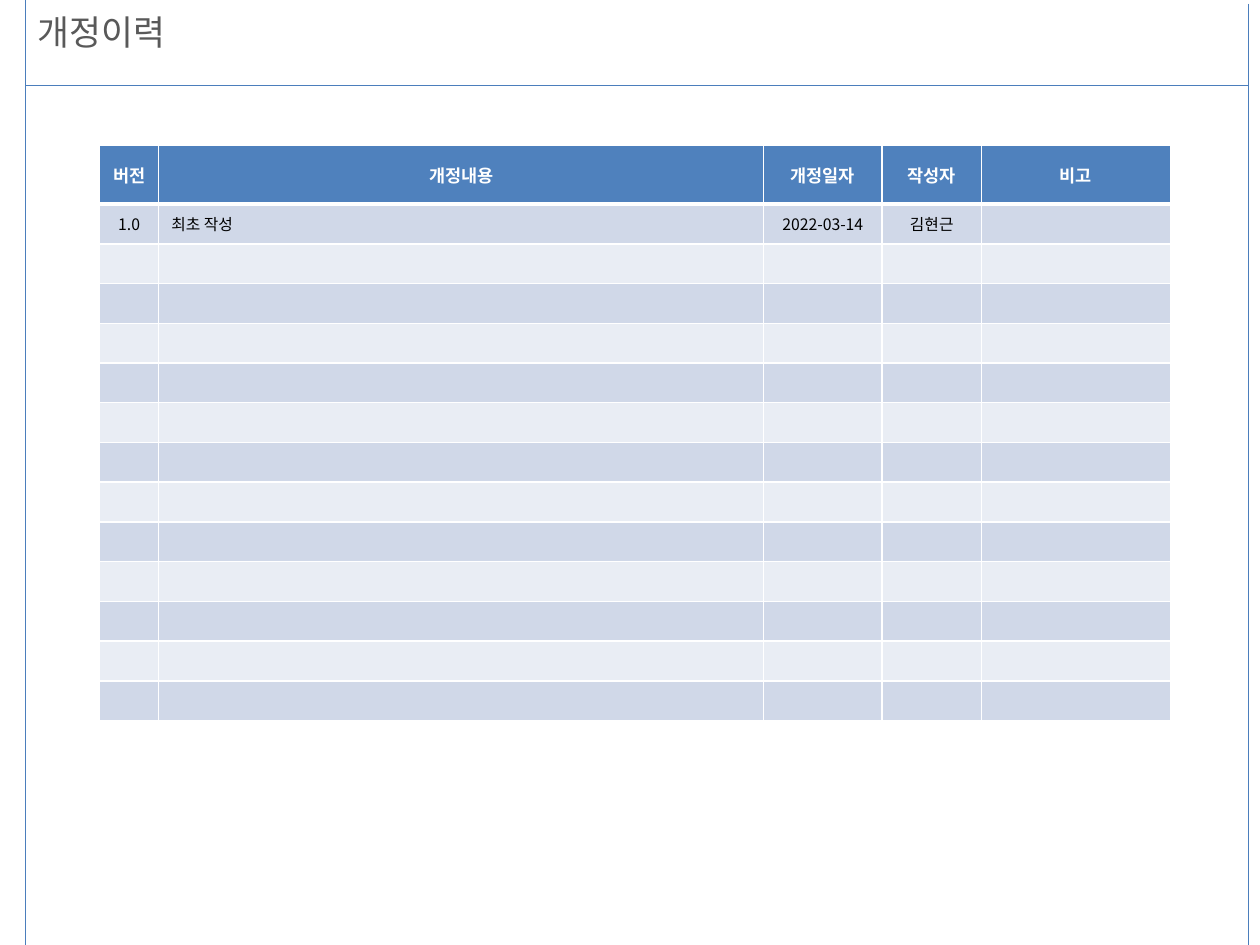
from lxml import etree
from pptx import Presentation
from pptx.dml.color import RGBColor
from pptx.enum.shapes import MSO_CONNECTOR
from pptx.enum.text import MSO_ANCHOR, PP_ALIGN
from pptx.oxml.ns import qn
from pptx.util import Inches, Pt

LINE = MSO_CONNECTOR.STRAIGHT
MIDDLE = MSO_ANCHOR.MIDDLE
LEFT, CENTER = PP_ALIGN.LEFT, PP_ALIGN.CENTER
FONT = "Noto Sans CJK KR"
HEX = {"rule": "4B7EBC", "title": "595959", "head": "4F81BD", "odd": "D0D8E8",
       "even": "E9EDF4", "white": "FFFFFF", "black": "000000"}

TITLE = {"size": Pt(19.8), "bold": False, "color": "title"}
HEAD = {"size": Pt(10), "bold": True, "color": "white"}
BODY = {"size": Pt(9), "bold": False, "color": "black"}

COLS = [0.47, 4.8, 0.94, 0.79, 1.5]
HEAD_H = 0.47
ROWS = 14
TEXTS = [["버전", "개정내용", "개정일자", "작성자", "비고"],
         ["1.0", "최초 작성", "2022-03-14", "김현근", ""]]


def color(name):
    return RGBColor.from_string(HEX[name])


def write(frame, text, style, align):
    para = frame.paragraphs[0]
    para.alignment = align
    if not text:
        # The end mark's size keeps an empty row from growing.
        end = etree.SubElement(para._p, qn("a:endParaRPr"))
        end.set("sz", str(int(style["size"].pt * 100)))
        return
    run = para.add_run()
    run.text = text
    font = run.font
    font.name = FONT
    east = etree.SubElement(font._element, qn("a:ea"))
    east.set("typeface", FONT)
    for key, value in style.items():
        if key == "color":
            font.color.rgb = color(value)
        else:
            setattr(font, key, value)


def edge(cell, side, width):
    """Draw one white border; side is L, R, T or B."""
    props = cell._tc.get_or_add_tcPr()
    line = etree.SubElement(props, qn("a:ln" + side), w=str(Pt(width)))
    fill = etree.SubElement(line, qn("a:solidFill"))
    etree.SubElement(fill, qn("a:srgbClr"), val=HEX["white"])


def add_frame(slide, left, top, right, bottom, split):
    """Draw the two side rules and the rule below the title."""
    ends = [(left, 0, left, bottom),
            (right, top, right, bottom + top),
            (left, split, right, split)]
    for points in ends:
        rule = slide.shapes.add_connector(LINE, *map(Inches, points))
        rule.line.color.rgb = color("rule")
        rule.line.width = Pt(0.75)
        etree.SubElement(rule._element.spPr, qn("a:effectLst"))


def add_title(slide, left, top, width, height):
    box = slide.shapes.add_textbox(*map(Inches, (left, top, width, height)))
    frame = box.text_frame
    frame.word_wrap = True
    frame.vertical_anchor = MIDDLE
    write(frame, "개정이력", TITLE, LEFT)


def add_history(slide, left, top, width, height):
    """Place the revision table, with a tall head and equal body rows."""
    box = map(Inches, (left, top, width, height))
    table = slide.shapes.add_table(ROWS, len(COLS), *box).table
    for col, part in zip(table.columns, COLS):
        col.width = Inches(width * part / sum(COLS))
    body_h = (height - HEAD_H) / (ROWS - 1)
    for r, row in enumerate(table.rows):
        row.height = Inches(body_h if r else HEAD_H)
        style = BODY if r else HEAD
        shade = ("odd" if r % 2 else "even") if r else "head"
        texts = TEXTS[r] if r < len(TEXTS) else [""] * len(COLS)
        for c, text in enumerate(texts):
            cell = table.cell(r, c)
            cell.vertical_anchor = MIDDLE
            write(cell.text_frame, text, style, LEFT if r and c == 1 else CENTER)
            for side in "LRTB":
                thick = (r, side) in ((0, "B"), (1, "T"))
                edge(cell, side, 3 if thick else 1)
            cell.fill.solid()
            cell.fill.fore_color.rgb = color(shade)


def main():
    deck = Presentation()
    deck.slide_width, deck.slide_height = Inches(10), Inches(7.5)
    slide = deck.slides.add_slide(deck.slide_layouts[6])
    add_frame(slide, 0.2, 0.03, 9.91, 7.5, 0.68)
    add_title(slide, 0.2, 0.05, 9.69, 0.4)
    add_history(slide, 0.79, 1.15, 8.5, 4.57)
    deck.save("out.pptx")


if __name__ == "__main__":
    main()
